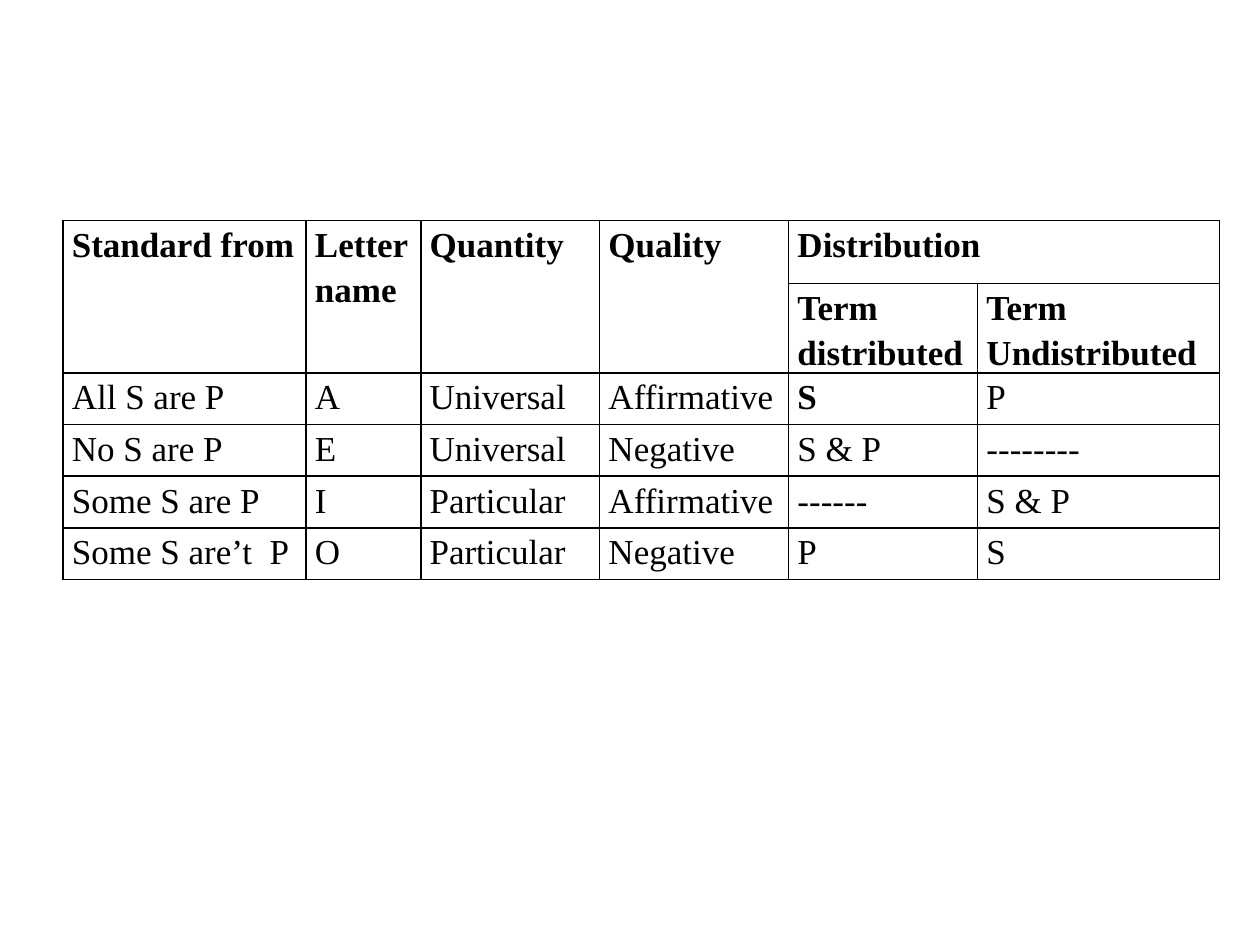
"""Build a slide with a table of categorical propositions and their distribution."""
from dataclasses import dataclass

from lxml.etree import SubElement
from pptx import Presentation
from pptx.dml.color import RGBColor
from pptx.enum.text import PP_ALIGN
from pptx.oxml.ns import qn
from pptx.table import Table, _Cell
from pptx.util import Inches, Pt


@dataclass(frozen=True)
class Theme:
    """Colours, type and line sizes of the slide."""
    font: str = "Times New Roman"
    size: float = 20
    ink: str = "000000"
    border: float = 1
    spacing: float = 1.15


@dataclass(frozen=True)
class Entry:
    """One table cell with its text and the rows and columns it covers."""
    row: int
    col: int
    text: str
    bold: bool = False
    rows: int = 1
    cols: int = 1


THEME = Theme()
COL_WIDTHS = [1.93, 0.91, 1.42, 1.5, 1.5, 1.92]
ROW_HEIGHTS = [0.5] + [0.41] * 5
TALL_HEADS = ["Standard from", "Letter name ", "Quantity ", "Quality "]
TERM_HEADS = ["Term distributed", "Term Undistributed"]
PROPOSITIONS = [
    ["All S are P", "A", "Universal ", "Affirmative ", "S", "P"],
    ["No S are P", "E", "Universal ", "Negative ", "S & P", "--------"],
    ["Some S are P", "I", "Particular ", "Affirmative ", "------", "S & P"],
    ["Some S are’t  P", "O", "Particular ", "Negative ", "P", "S"],
]
BOLD_VALUE = (2, 4)


def table_entries() -> list[Entry]:
    """Return the header entries followed by the proposition entries."""
    heads = [Entry(0, c, text, True, rows=2) for c, text in enumerate(TALL_HEADS)]
    heads.append(Entry(0, 4, "Distribution ", True, cols=2))
    heads += [Entry(1, c, text, True) for c, text in enumerate(TERM_HEADS, 4)]
    values = [Entry(r, c, text, (r, c) == BOLD_VALUE)
              for r, texts in enumerate(PROPOSITIONS, 2)
              for c, text in enumerate(texts)]
    return heads + values


def style_cell(cell: _Cell) -> None:
    """Give a cell its margins, borders and empty fill."""
    cell.margin_left = cell.margin_right = Inches(0.07)
    cell.margin_top = cell.margin_bottom = 0
    tcPr = cell._tc.get_or_add_tcPr()
    for side in ("a:lnL", "a:lnR", "a:lnT", "a:lnB"):
        ln = SubElement(tcPr, qn(side), w=str(Pt(THEME.border)))
        fill = SubElement(ln, qn("a:solidFill"))
        SubElement(fill, qn("a:srgbClr"), val=THEME.ink)
    cell.fill.background()


def draw_entry(table: Table, entry: Entry) -> None:
    """Write an entry into the table, merging the cells it covers."""
    cell = table.cell(entry.row, entry.col)
    if entry.rows > 1 or entry.cols > 1:
        cell.merge(table.cell(entry.row + entry.rows - 1, entry.col + entry.cols - 1))
    p = cell.text_frame.paragraphs[0]
    p.text = entry.text
    p.alignment = PP_ALIGN.JUSTIFY
    p.line_spacing = THEME.spacing
    font = p.runs[0].font
    font.name = THEME.font
    font.size = Pt(THEME.size)
    font.bold = entry.bold
    font.color.rgb = RGBColor.from_string(THEME.ink)


def main() -> None:
    """Create the slide and save it."""
    prs = Presentation()
    prs.slide_width, prs.slide_height = Inches(10), Inches(7.5)
    s = prs.slides.add_slide(prs.slide_layouts[6])
    frame = s.shapes.add_table(len(ROW_HEIGHTS), len(COL_WIDTHS), Inches(0.5),
                               Inches(1.75), Inches(9.17), Inches(2.89))
    table = frame.table
    table.first_row = table.horz_banding = False
    for column, width in zip(table.columns, COL_WIDTHS):
        column.width = Inches(width)
    for row, height in zip(table.rows, ROW_HEIGHTS):
        row.height = Inches(height)
    frame.height = Inches(2.89)
    for cell in table.iter_cells():
        style_cell(cell)
    for entry in table_entries():
        draw_entry(table, entry)
    prs.save("out.pptx")


if __name__ == "__main__":
    main()
